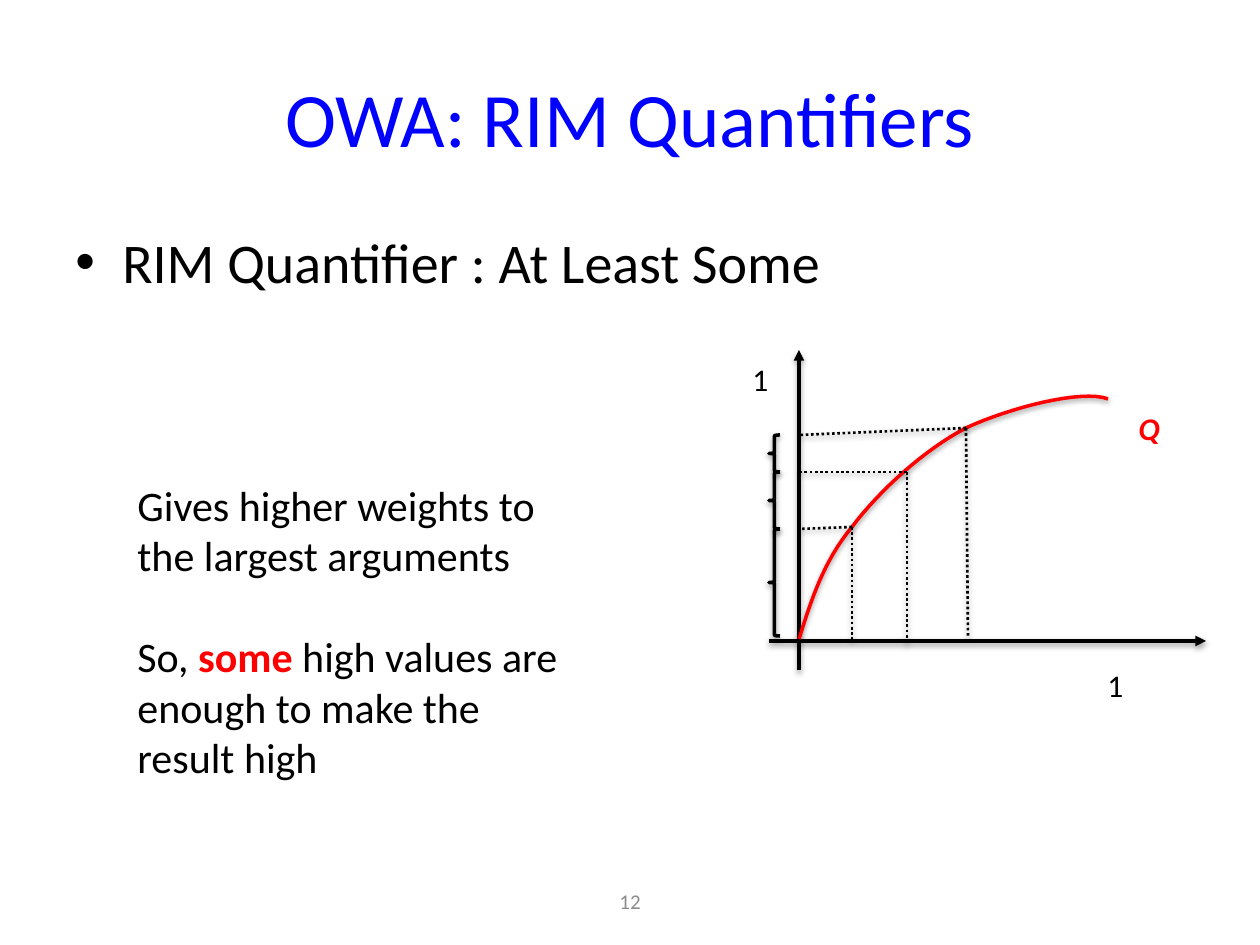
import pptx
import pptx.util
import pptx.dml.color
import pptx.enum.dml
import pptx.enum.shapes
import pptx.enum.text
import pptx.oxml
import pptx.oxml.ns

SCALE = 914400 / 126
FONT = "Calibri"
COLORS = {"title": "0000FF", "ink": "000000", "accent": "FF0000", "number": "8C8C8C"}
CENTER = pptx.enum.text.PP_ALIGN.CENTER
MIDDLE = pptx.enum.text.MSO_ANCHOR.MIDDLE
DOTTED = pptx.enum.dml.MSO_LINE.ROUND_DOT
NAMESPACE = pptx.oxml.ns.nsdecls("a")
SHADOW = (
    f'<a:effectLst {NAMESPACE}><a:outerShdw blurRad="40000" dist="20000" dir="5400000" '
    'rotWithShape="0"><a:srgbClr val="000000"><a:alpha val="38000"/></a:srgbClr>'
    '</a:outerShdw></a:effectLst>'
)


def px(length):
    return pptx.util.Emu(round(length * SCALE))


def rgb(color):
    return pptx.dml.color.RGBColor.from_string(COLORS[color])


def add_xml(parent, xml):
    parent.append(pptx.oxml.parse_xml(xml))


def add_text(slide, bounds, paragraphs, size, color="ink", align=None,
             anchor=None, wrap=True, gap=0, bullet=False):
    box = slide.shapes.add_textbox(*map(px, bounds))
    frame = box.text_frame
    frame.word_wrap = wrap
    if anchor is not None:
        frame.vertical_anchor = anchor
    for index, runs in enumerate(paragraphs):
        paragraph = frame.paragraphs[0] if index == 0 else frame.add_paragraph()
        paragraph.alignment = align
        if index:
            paragraph.space_before = pptx.util.Pt(gap)
        if bullet:
            properties = paragraph._p.get_or_add_pPr()
            properties.set("marL", str(px(47)))
            properties.set("indent", str(-px(47)))
            add_xml(properties, f'<a:buFont {NAMESPACE} typeface="Arial"/>')
            add_xml(properties, f'<a:buChar {NAMESPACE} char="•"/>')
        for words, changes in runs:
            run = paragraph.add_run()
            run.text = words
            style = {"name": FONT, "size": pptx.util.Pt(size), "color": color, **changes}
            run.font.color.rgb = rgb(style.pop("color"))
            for attribute, value in style.items():
                setattr(run.font, attribute, value)


def style_stroke(shape, width, color="ink", dash=None, arrow=False):
    shape.line.color.rgb = rgb(color)
    shape.line.width = pptx.util.Pt(width)
    if dash is not None:
        shape.line.dash_style = dash
    if arrow:
        add_xml(shape.line._get_or_add_ln(), f'<a:tailEnd {NAMESPACE} type="triangle"/>')
    add_xml(shape._element.spPr, SHADOW)


def add_line(slide, start, end, width, **stroke):
    line = slide.shapes.add_connector(
        pptx.enum.shapes.MSO_CONNECTOR.STRAIGHT, *map(px, (*start, *end)))
    style_stroke(line, width, **stroke)


def bezier_points(start, control1, control2, end, steps=16):
    for step in range(1, steps + 1):
        t = step / steps
        weights = ((1 - t) ** 3, 3 * t * (1 - t) ** 2, 3 * t ** 2 * (1 - t), t ** 3)
        yield tuple(
            px(sum(weight * value for weight, value in zip(weights, axis)))
            for axis in zip(start, control1, control2, end))


def add_curve(slide, knots, width, color):
    builder = slide.shapes.build_freeform(*map(px, knots[0]))
    points = [point for first in range(0, len(knots) - 1, 3)
              for point in bezier_points(*knots[first:first + 4])]
    builder.add_line_segments(points, close=False)
    curve = builder.convert_to_shape()
    curve.fill.background()
    style_stroke(curve, width, color)


def add_brace(slide, top, bottom):
    brace = slide.shapes.add_shape(
        pptx.enum.shapes.MSO_SHAPE.LEFT_BRACE, *map(px, (769, top, 11, bottom - top)))
    brace.shadow.inherit = False
    brace._element.spPr.remove(brace._element.spPr[-1])
    brace.fill.background()
    style_stroke(brace, 2)


def add_graph(slide):
    origin_x, baseline = 799, 641
    add_line(slide, (769, baseline), (1206, baseline), 2, arrow=True)
    add_line(slide, (origin_x, 670), (origin_x, 350), 2, arrow=True)
    q_style = {"color": "accent", "bold": True, "italic": True}
    for label, left, top, width, style in (
            ("1", 1095, 660, 42, {}), ("1", 740, 354, 42, {}), ("Q", 1126, 403, 47, q_style)):
        add_text(slide, (left, top, width, 50), [[(label, style)]], 18, wrap=False)

    knots = [(799, 639), (811, 601), (823, 562), (852, 527), (879, 491), (924, 450),
             (966, 428), (1009, 408), (1082, 389), (1108, 399)]
    add_curve(slide, knots, 2, "accent")

    samples = [((852, 527), (852, 641), 529),
               ((907, 472), (907, 643), 472),
               ((966, 428), (968, 636), 435)]
    brace_bottom = 636
    for point, foot, level in samples:
        add_line(slide, point, foot, 1.5, dash=DOTTED)
        add_line(slide, point, (origin_x, level), 1.5, dash=DOTTED)
        add_brace(slide, level, brace_bottom)
        brace_bottom = level


def main():
    presentation = pptx.Presentation()
    presentation.slide_width, presentation.slide_height = px(1260), px(945)
    slide = presentation.slides.add_slide(presentation.slide_layouts[6])
    add_text(slide, (63, 38, 1134, 157), [[("OWA: RIM Quantifiers", {})]], 44,
             "title", CENTER, MIDDLE)
    add_text(slide, (63, 221, 1134, 624), [[("RIM Quantifier : At Least Some", {})]], 32,
             bullet=True)
    add_text(slide, (483, 876, 294, 50), [[("12", {})]], 12, "number", CENTER, MIDDLE)
    explanation = [
        [("Gives higher weights to the largest arguments", {})],
        [("So, ", {}), ("some", {"color": "accent", "bold": True}),
         (" high values are enough to make the result high", {})],
    ]
    add_text(slide, (125, 473, 446, 318), explanation, 24, gap=29)
    add_graph(slide)
    presentation.save("out.pptx")


if __name__ == "__main__":
    main()
